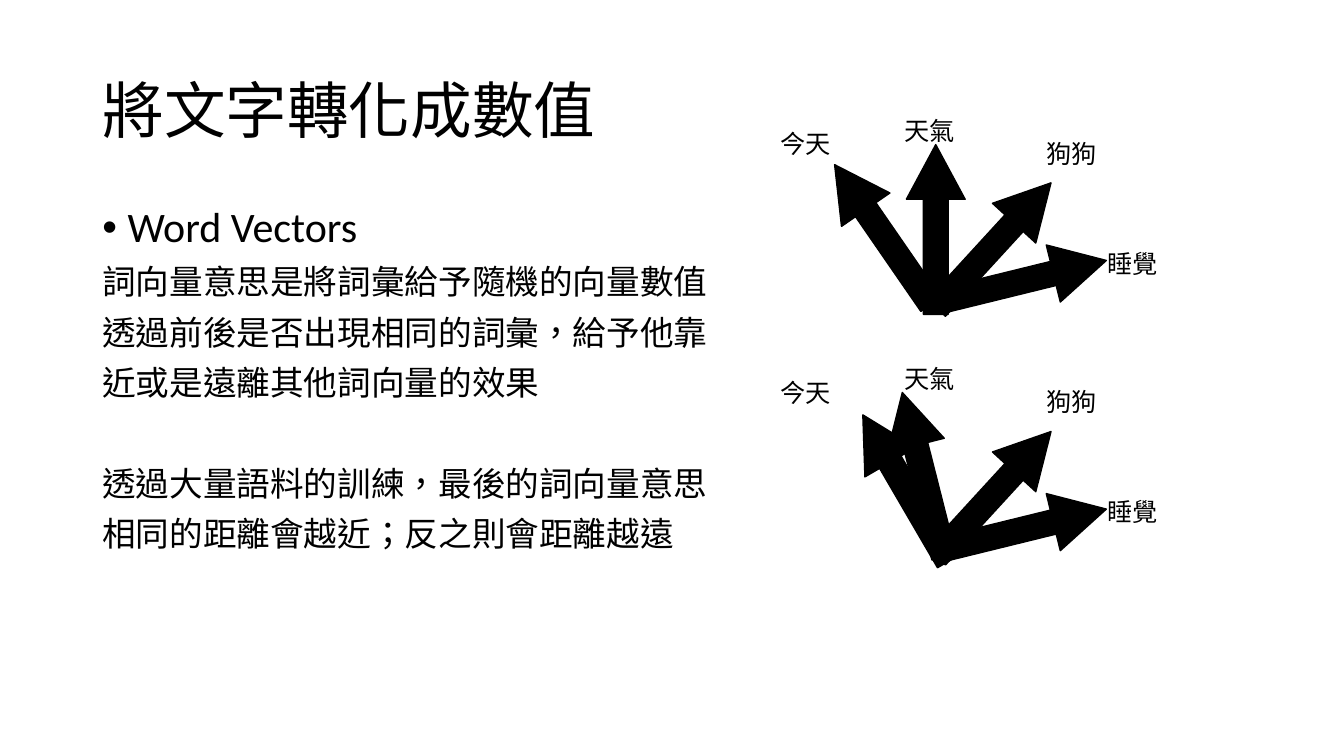
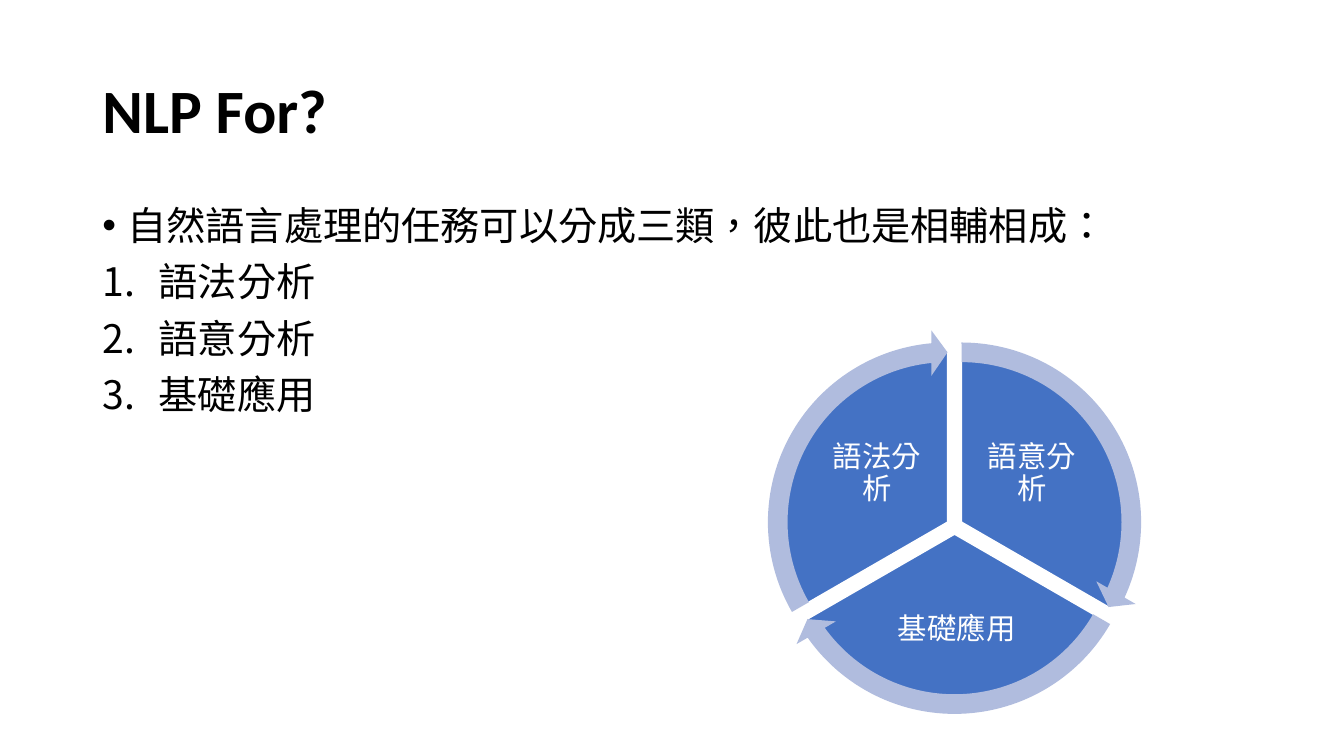
import math

import lxml.etree
import pptx
import pptx.dml.color
import pptx.enum.lang
import pptx.enum.shapes
import pptx.enum.text
import pptx.oxml.ns
import pptx.util

SHAPE = pptx.enum.shapes.MSO_SHAPE
ALIGN = pptx.enum.text.PP_ALIGN
ANCHOR = pptx.enum.text.MSO_ANCHOR

SLIDE_WIDTH = pptx.util.Inches(13.33)
SLIDE_HEIGHT = pptx.util.Inches(7.5)
COLUMNS, ROWS = 80, 45

LATIN, CJK, BULLET_FONT = "Calibri", "Noto Sans CJK SC", "Arial"
BLACK, WHITE, BLUE, PALE_BLUE = "000000", "FFFFFF", "4472C4", "B0BCDE"

TITLE_AREA = (5.5, 2.4, 69, 8.7)
BODY_AREA = (5.5, 12, 69, 28.6)
ANGLE_UNIT = 0.6  # adjustment value of one degree

# word, column and row from the top of a fan
WORD_LABELS = [("今天", 45.86, 0.8), ("天氣", 53.24, 0), ("狗狗", 61.7, 1.35), ("睡覺", 65.34, 7.9)]
# column, row from the top of a fan, rotation
UNCHANGED_ARROWS = [(57.4, 3, 42.5), (59.2, 5.1, 76.2)]
RANDOM_ARROWS = [(50.8, 2.35, 325.4), (53.95, 2.05, 0)] + UNCHANGED_ARROWS
TRAINED_ARROWS = [(52.15, 2.65, 329.8), (53.2, 1.85, 345.8)] + UNCHANGED_ARROWS

# task, middle angle of its sector, label area
TASK_SECTORS = [
    ("語意分析", -30, (57.8, 25.2, 7.26, 6.06)),
    ("基礎應用", 90, (51.48, 34.8, 10.92, 5.34)),
    ("語法分析", 210, (48.56, 25.2, 7.26, 6.06)),
]
CYCLE_CENTER = (56.82, 31.32)
SECTOR_SHIFT = 0.48
PIE_SIZE, RING_SIZE = 20.4, 22.92
HEAD_ANGLE = 5.46


def place(column, row, width, height):
    """Turn grid columns and rows into slide lengths."""
    return (
        int(column * SLIDE_WIDTH / COLUMNS),
        int(row * SLIDE_HEIGHT / ROWS),
        int(width * SLIDE_WIDTH / COLUMNS),
        int(height * SLIDE_HEIGHT / ROWS),
    )


def rgb(color):
    return pptx.dml.color.RGBColor.from_string(color)


def add_bullet(paragraph, bullet, indent):
    """Give the paragraph a bullet character, or a number if bullet is '1.'."""
    properties = paragraph._p.get_or_add_pPr()
    properties.set("marL", str(pptx.util.Inches(indent)))
    properties.set("indent", str(-pptx.util.Inches(indent)))

    def add(tag, **attributes):
        lxml.etree.SubElement(properties, pptx.oxml.ns.qn(tag), **attributes)

    if bullet == "1.":
        add("a:buAutoNum", type="arabicPeriod")
    else:
        add("a:buFont", typeface=BULLET_FONT)
        add("a:buChar", char=bullet)


def write(frame, text, size=18, font=LATIN, color=BLACK, bold=False, align=ALIGN.LEFT,
          spacing=1.0, before=0, bullet=None, indent=0.25):
    """Fill the frame's first paragraph, or add one if it already has text."""
    paragraph = frame.add_paragraph() if frame.text else frame.paragraphs[0]
    paragraph.alignment = align
    paragraph.line_spacing = spacing
    paragraph.space_before = pptx.util.Pt(before)
    if bullet:
        add_bullet(paragraph, bullet, indent)
    run = paragraph.add_run()
    run.text = text
    run.font.size = pptx.util.Pt(size)
    run.font.bold = bold
    run.font.color.rgb = rgb(color)
    run.font.name = font
    run.font.language_id = pptx.enum.lang.MSO_LANGUAGE_ID.TRADITIONAL_CHINESE
    lxml.etree.SubElement(run._r.get_or_add_rPr(), pptx.oxml.ns.qn("a:ea"), typeface=CJK)


def add_frame(slide, area, wrap=True, anchor=ANCHOR.TOP, inset=None):
    frame = slide.shapes.add_textbox(*place(*area)).text_frame
    frame.word_wrap = wrap
    frame.vertical_anchor = anchor
    if inset is not None:
        frame.margin_left = frame.margin_right = pptx.util.Inches(inset)
        frame.margin_top = frame.margin_bottom = pptx.util.Inches(inset)
    return frame


def add_figure(slide, preset, area, fill, line=None, adjustments=(), rotation=0):
    figure = slide.shapes.add_shape(preset, *place(*area))
    figure.shadow.inherit = False
    figure.rotation = rotation
    figure.fill.solid()
    figure.fill.fore_color.rgb = rgb(fill)
    if line:
        figure.line.color.rgb = rgb(line)
        figure.line.width = pptx.util.Pt(1)
    else:
        figure.line.fill.background()
    for index, value in enumerate(adjustments):
        figure.adjustments[index] = value


def add_titled_slide(deck, heading, **style):
    slide = deck.slides.add_slide(deck.slide_layouts[5])
    title = slide.shapes.title
    title.left, title.top, title.width, title.height = place(*TITLE_AREA)
    title.text_frame.vertical_anchor = ANCHOR.MIDDLE
    write(title.text_frame, heading, size=44, spacing=0.9, **style)
    return slide


def add_vector_fan(slide, top, arrows):
    for column, row, rotation in arrows:
        add_figure(slide, SHAPE.UP_ARROW, (column, top + row, 3.5, 10.1), BLACK, BLACK,
                   (0.42, 0.93), rotation)
    for word, column, row in WORD_LABELS:
        write(add_frame(slide, (column, top + row, 4.26, 2.4), wrap=False), word)


def sector_area(middle, size):
    """Square around the cycle's centre, moved outwards along the middle angle."""
    angle = math.radians(middle)
    column = CYCLE_CENTER[0] + SECTOR_SHIFT * math.cos(angle)
    row = CYCLE_CENTER[1] + SECTOR_SHIFT * math.sin(angle)
    return column - size / 2, row - size / 2, size, size


def sector_limits(middle):
    return [(middle + turn) % 360 * ANGLE_UNIT for turn in (-60, 60)]


def add_task_cycle(slide):
    for task, middle, label_area in TASK_SECTORS:
        add_figure(slide, SHAPE.PIE, sector_area(middle, PIE_SIZE), BLUE, WHITE,
                   sector_limits(middle))
        label = add_frame(slide, label_area, anchor=ANCHOR.MIDDLE, inset=0.03)
        write(label, task, size=21, font=CJK, color=WHITE, align=ALIGN.CENTER, spacing=0.9)
    head = HEAD_ANGLE * ANGLE_UNIT
    for _, middle, _ in TASK_SECTORS:
        start, end = sector_limits(middle)
        add_figure(slide, SHAPE.CIRCULAR_ARROW, sector_area(middle, RING_SIZE), PALE_BLUE,
                   adjustments=(0.051, head, end - head, start, 0.059))


def add_word_vectors_slide(deck):
    slide = add_titled_slide(deck, "將文字轉化成數值", font=CJK)
    body = add_frame(slide, BODY_AREA)
    write(body, "Word Vectors", size=30, spacing=0.9, before=10, bullet="•")
    for line, before in [
        ("詞向量意思是將詞彙給予隨機的向量數值", 10),
        ("透過前後是否出現相同的詞彙，給予他靠", 10),
        ("近或是遠離其他詞向量的效果", 10),
        ("透過大量語料的訓練，最後的詞向量意思", 46),
        ("相同的距離會越近；反之則會距離越遠", 10),
    ]:
        write(body, line, size=24, font=CJK, spacing=0.9, before=before)
    add_vector_fan(slide, 21.36, TRAINED_ARROWS)
    add_vector_fan(slide, 6.56, RANDOM_ARROWS)


def add_tasks_slide(deck):
    slide = add_titled_slide(deck, "NLP For?", bold=True)
    body = add_frame(slide, BODY_AREA)
    style = {"size": 28, "font": CJK, "spacing": 0.9, "before": 10}
    write(body, "自然語言處理的任務可以分成三類，彼此也是相輔相成：", bullet="•", **style)
    for task in ("語法分析", "語意分析", "基礎應用"):
        write(body, task, bullet="1.", indent=0.56, **style)
    add_task_cycle(slide)


def main():
    deck = pptx.Presentation()
    deck.slide_width, deck.slide_height = SLIDE_WIDTH, SLIDE_HEIGHT
    add_word_vectors_slide(deck)
    add_tasks_slide(deck)
    deck.save("out.pptx")


if __name__ == "__main__":
    main()
